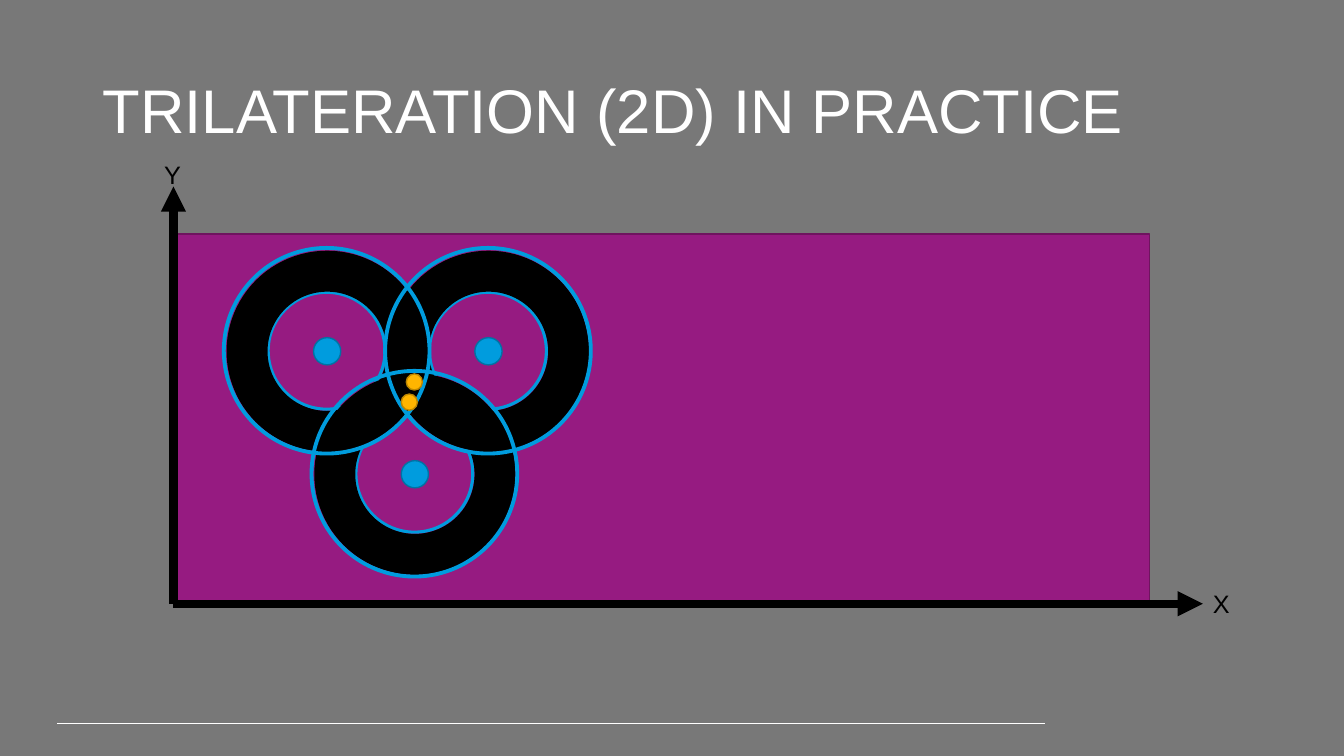
from dataclasses import dataclass

from lxml.etree import SubElement
from pptx import Presentation
from pptx.dml.color import RGBColor
from pptx.enum.shapes import MSO_CONNECTOR as Connector, MSO_SHAPE as Shape
from pptx.enum.text import MSO_ANCHOR as Anchor, MSO_AUTO_SIZE as AutoSize
from pptx.oxml.ns import qn
from pptx.util import Pt


@dataclass(frozen=True)
class Theme:
    font: str = "Arial"
    background: str = "787878"
    white: str = "FFFFFF"
    black: str = "000000"
    area: str = "961B81"
    area_edge: str = "6F145F"
    station: str = "009CDE"
    station_edge: str = "0073A4"
    estimate: str = "FFB500"
    estimate_edge: str = "BD8600"
    title_size: int = 44
    label_size: int = 18


def set_values(target, values):
    for name, value in values.items():
        setattr(target, name, value)


class SlideBuilder:
    EMU_PER_PX = 9144

    def __init__(self, slide, theme):
        self.slide = slide
        self.theme = theme
        fill = slide.background.fill
        fill.solid()
        fill.fore_color.rgb = RGBColor.from_string(theme.background)

    def emu(self, *lengths):
        return [length * self.EMU_PER_PX for length in lengths]

    def stroke(self, line, color, width):
        line.color.rgb = RGBColor.from_string(color)
        line.width = Pt(width)

    def shape(self, kind, box, edge, width, fill=None):
        shape = self.slide.shapes.add_shape(kind, *self.emu(*box))
        shape.shadow.inherit = False
        self.stroke(shape.line, edge, width)
        if fill:
            shape.fill.solid()
            shape.fill.fore_color.rgb = RGBColor.from_string(fill)
        else:
            shape.fill.background()

    def circle(self, center, diameter, edge, width, fill=None):
        left, top = (value - diameter // 2 for value in center)
        self.shape(Shape.OVAL, (left, top, diameter, diameter), edge, width, fill)

    def line(self, start, end, color, width, arrow=False):
        connector = self.slide.shapes.add_connector(
            Connector.STRAIGHT, *self.emu(*start, *end))
        self.stroke(connector.line, color, width)
        properties = connector.element.spPr
        if arrow:
            SubElement(properties.find(qn("a:ln")), qn("a:tailEnd"), type="triangle")
        SubElement(properties, qn("a:effectLst"))

    def text(self, words, box, color, size, frame_format, paragraph_format=None):
        frame = self.slide.shapes.add_textbox(*self.emu(*box)).text_frame
        set_values(frame, {"word_wrap": True, **frame_format})
        paragraph = frame.paragraphs[0]
        set_values(paragraph, paragraph_format or {})
        run = paragraph.add_run()
        run.text = words
        set_values(run.font, {"name": self.theme.font, "size": Pt(size)})
        run.font.color.rgb = RGBColor.from_string(color)


def main():
    theme = Theme()
    presentation = Presentation()
    set_values(presentation, {
        "slide_width": 1333 * SlideBuilder.EMU_PER_PX,
        "slide_height": 750 * SlideBuilder.EMU_PER_PX,
    })
    slide = presentation.slides.add_slide(presentation.slide_layouts[6])
    builder = SlideBuilder(slide, theme)

    builder.line((57, 718), (1036, 718), theme.white, 0.75)
    builder.text("TRILATERATION (2D) IN PRACTICE", (92, 40, 1150, 145),
                 theme.white, theme.title_size,
                 {"vertical_anchor": Anchor.MIDDLE}, {"line_spacing": 0.9})
    builder.shape(Shape.RECTANGLE, (172, 232, 968, 367),
                  theme.area_edge, 1, theme.area)

    origin = (172, 599)
    axes = {"X": ((1193, 599), (1193, 579)), "Y": ((172, 185), (153, 153))}
    for end, _ in axes.values():
        builder.line(origin, end, theme.black, 6, arrow=True)
    for name, (_, corner) in axes.items():
        builder.text(name, (*corner, 38, 40), theme.black, theme.label_size,
                     {"auto_size": AutoSize.SHAPE_TO_FIT_TEXT})

    stations = [(324, 348), (484, 348), (411, 470)]
    for station in stations:
        builder.circle(station, 27, theme.station_edge, 1, theme.station)
        builder.circle(station, 116, theme.station, 2.25)
    for diameter, color, width in [(159, theme.black, 29.25),
                                   (204, theme.station, 2.75)]:
        for station in stations:
            builder.circle(station, diameter, color, width)

    for estimate in [(406, 399), (411, 379)]:
        builder.circle(estimate, 16, theme.estimate_edge, 1, theme.estimate)

    presentation.save("out.pptx")


if __name__ == "__main__":
    main()
